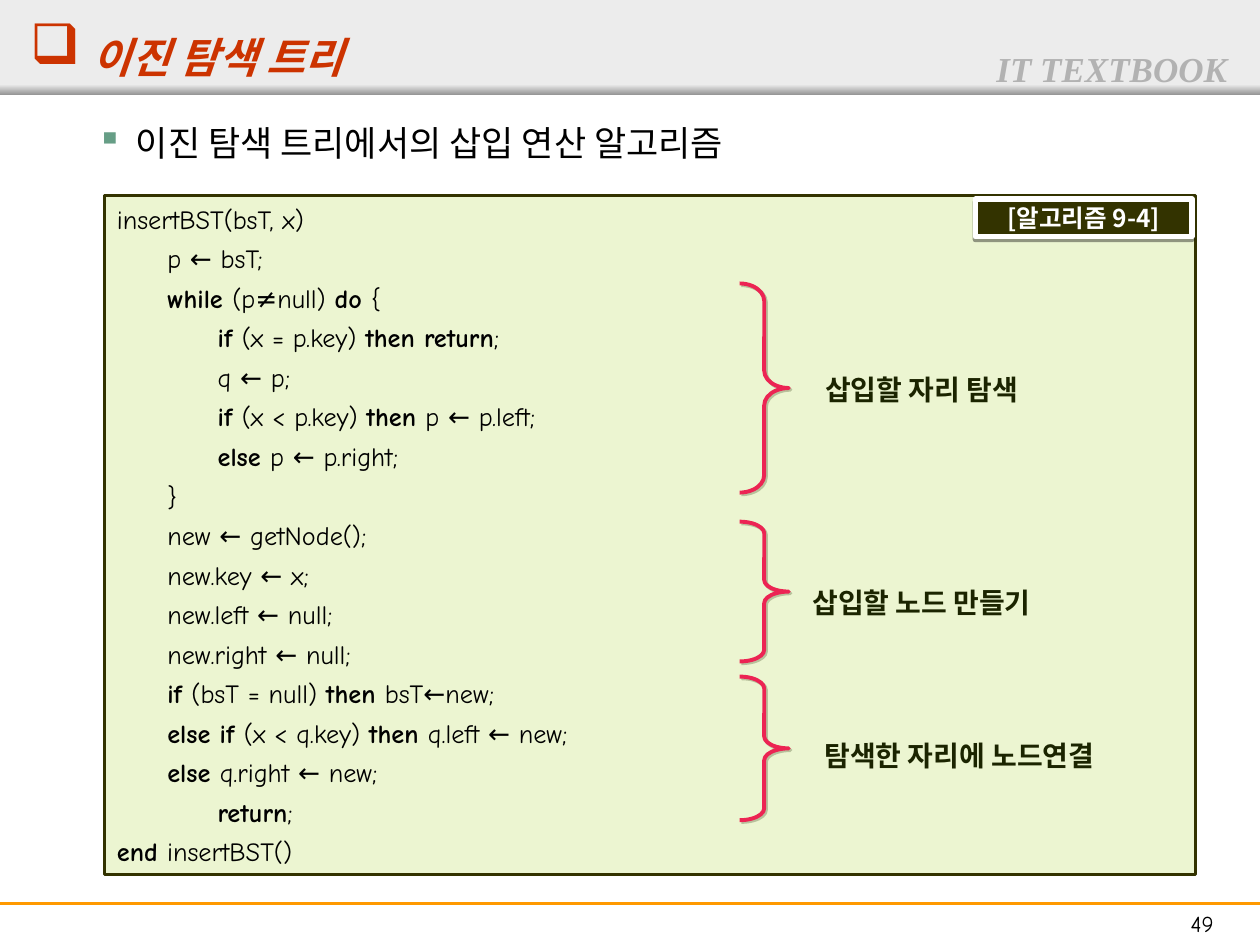
from lxml import etree
from pptx import Presentation
from pptx.dml.color import RGBColor
from pptx.enum.shapes import MSO_CONNECTOR, MSO_SHAPE
from pptx.enum.text import MSO_ANCHOR, PP_ALIGN
from pptx.oxml.ns import qn
from pptx.util import Inches, Pt

RECT, BRACE = MSO_SHAPE.RECTANGLE, MSO_SHAPE.RIGHT_BRACE
LEFT, CENTER = PP_ALIGN.LEFT, PP_ALIGN.CENTER
TOP, MIDDLE = MSO_ANCHOR.TOP, MSO_ANCHOR.MIDDLE

KOREAN, LATIN, SERIF = "Noto Sans CJK KR", "Comic Neue", "Times New Roman"
THEME = {
    "band": "ECECEC", "band_edge": "979797", "rule": "FF9900",
    "bullet": "669E86", "panel": "99CC00", "dark": "333300",
    "brace": "FF0066", "white": "FFFFFF", "brace_shadow": "808080",
    "tag_shadow": "000000",
    "title_mark": dict(name=KOREAN, size=32, color="CC3300", bold=True, italic=True),
    "title": dict(name=KOREAN, size=24, color="CC3300", bold=True, italic=True),
    "series": dict(name=SERIF, size=20, color="B2B2B2", bold=True, italic=True),
    "heading": dict(name=KOREAN, size=20, color="000000"),
    "label": dict(name=KOREAN, size=16, color="000000", bold=True),
    "tag": dict(name=KOREAN, size=14, color="FFFFFF", bold=True),
    "code": dict(name=LATIN, size=15, color="000000", bold=False),
    "keyword": dict(name=LATIN, size=15, color="000000", bold=True),
    "page": dict(name=LATIN, size=13, color="000000"),
}

TITLE = "이진 탐색 트리"
SERIES = "IT TEXTBOOK"
HEADING = "이진 탐색 트리에서의 삽입 연산 알고리즘"
TAG = "[알고리즘 9-4]"
PAGE = "49"
# Indent level and code; keywords stand between asterisks.
CODE = [
    (0, "insertBST(bsT, x)"),
    (1, "p ← bsT;"),
    (1, "*while *(p≠null) *do *{"),
    (2, "*if *(x = p.key) *then return*;"),
    (2, "q ← p;"),
    (2, "*if *(x < p.key) *then *p ← p.left;"),
    (2, "*else *p ← p.right;"),
    (1, "}"),
    (1, "new ← getNode();"),
    (1, "new.key ← x;"),
    (1, "new.left ← null;"),
    (1, "new.right ← null;"),
    (1, "*if *(bsT = null) *then *bsT←new;"),
    (1, "*else if *(x < q.key) *then *q.left ← new;"),
    (1, "*else *q.right ← new;"),
    (2, "*return*;"),
    (0, "*end *insertBST()"),
]
# Brace top and height, then label text and its box.
STEPS = [
    (2.25, 1.66, "삽입할 자리 탐색", (6.45, 2.91, 1.73, 0.37)),
    (4.14, 1.11, "삽입할 노드 만들기", (6.35, 4.6, 1.93, 0.37)),
    (5.37, 1.14, "탐색한 자리에 노드연결", (6.21, 5.81, 2.81, 0.37)),
]
BRACE_LEFT, BRACE_WIDTH = 5.87, 0.39
CODE_INDENT = 0.4


def rgb(name):
    return RGBColor.from_string(THEME.get(name, name))


def add_run(p, text, style):
    r = p.add_run()
    r.text = text
    for key, value in THEME[style].items():
        if key == "color":
            r.font.color.rgb = rgb(value)
        else:
            setattr(r.font, key, Pt(value) if key == "size" else value)
    latin = r.font._element.find(qn("a:latin"))
    ea = etree.Element(qn("a:ea"), typeface=THEME[style]["name"])
    latin.addnext(ea)


def setup_frame(tf, anchor=TOP, top=0.05, wrap=True):
    margins = dict(margin_left=0.1, margin_top=top, margin_right=0.1, margin_bottom=0.05)
    for key, value in margins.items():
        setattr(tf, key, Inches(value))
    tf.word_wrap, tf.vertical_anchor = wrap, anchor
    return tf


def add_text(s, box, runs, align=LEFT, **frame):
    """Add a one-paragraph text box from (text, style) runs; return the paragraph."""
    tb = s.shapes.add_textbox(*map(Inches, box))
    p = setup_frame(tb.text_frame, **frame).paragraphs[0]
    p.alignment = align
    for text, style in runs:
        add_run(p, text, style)
    return p


def add_bullet(p, char, color, left=0, indent=0):
    pPr = p._p.get_or_add_pPr()
    pPr.set("marL", str(Inches(left)))
    pPr.set("indent", str(Inches(indent)))
    bu_color = etree.SubElement(pPr, qn("a:buClr"))
    etree.SubElement(bu_color, qn("a:srgbClr"), val=str(rgb(color)))
    etree.SubElement(pPr, qn("a:buChar"), char=char)


def add_shape(s, kind, box, fill=None, line=None, width=0):
    sp = s.shapes.add_shape(kind, *map(Inches, box))
    sp.shadow.inherit = False
    if fill:
        sp.fill.solid()
        sp.fill.fore_color.rgb = rgb(fill)
    else:
        sp.fill.background()
    if line:
        sp.line.color.rgb = rgb(line)
        sp.line.width = Pt(width)
    else:
        sp.line.fill.background()
    return sp


def add_alpha(color, percent):
    etree.SubElement(color, qn("a:alpha"), val=str(percent * 1000))


def add_shadow(sp, color, alpha, distance, angle):
    effects = sp._element.spPr.find(qn("a:effectLst"))
    shadow = etree.SubElement(effects, qn("a:outerShdw"), dist=str(Pt(distance)),
                              dir=str(angle * 60000), algn="ctr", rotWithShape="0")
    add_alpha(etree.SubElement(shadow, qn("a:srgbClr"), val=str(rgb(color))), alpha)


def draw_frame(s):
    add_shape(s, RECT, (0, 0, 10, 0.75), "band")
    edge = add_shape(s, RECT, (0, 0.67, 10, 0.08))
    edge.fill.gradient()
    edge.fill.gradient_angle = 270
    for stop, color in zip(edge.fill.gradient_stops, ("band", "band_edge")):
        stop.color.rgb = rgb(color)
    rule = s.shapes.add_connector(MSO_CONNECTOR.STRAIGHT, 0, Inches(7.17), Inches(10), Inches(7.17))
    rule.line.color.rgb = rgb("rule")
    rule.line.width = Pt(1.5)
    etree.SubElement(rule._element.spPr, qn("a:effectLst"))
    add_text(s, (7.81, 0.33, 2.19, 0.44), [(SERIES, "series")])
    add_text(s, (9.08, 7.17, 0.92, 0.32), [(PAGE, "page")], CENTER)


def draw_headings(s):
    p = add_text(s, (0.17, 0.88, 9.45, 0.5), [(HEADING, "heading")])
    p.line_spacing = 1.1
    add_bullet(p, "▪", "bullet", 0.81, -0.31)
    p = add_text(s, (0.14, 0.14, 9, 0.46), [(" ", "title_mark"), (TITLE, "title")], top=0)
    add_bullet(p, "❑", THEME["title"]["color"])


def draw_steps(s):
    for top, height, label, box in STEPS:
        brace = add_shape(s, BRACE, (BRACE_LEFT, top, BRACE_WIDTH, height), None, "brace", 2.25)
        brace.adjustments[0] = height / BRACE_WIDTH / 12
        add_shadow(brace, "brace_shadow", 50, 1.4, 45)
        add_text(s, box, [(label, "label")], CENTER, wrap=False)


def draw_code(s):
    panel = add_shape(s, RECT, (0.83, 1.55, 8.66, 5.39), "panel", "dark", 1.5)
    add_alpha(panel._element.spPr.find(qn("a:solidFill"))[0], 18)
    tf = setup_frame(panel.text_frame)
    for i, (level, line) in enumerate(CODE):
        p = tf.add_paragraph() if i else tf.paragraphs[0]
        p.alignment, p.line_spacing = LEFT, 1.05
        p.space_before = Pt(3.7 if i else 0)
        p._p.get_or_add_pPr().set("marL", str(Inches(level * CODE_INDENT)))
        for j, part in enumerate(line.split("*")):
            if part:
                add_run(p, part, "keyword" if j % 2 else "code")

    tag = add_shape(s, RECT, (7.74, 1.58, 1.72, 0.3), "dark", "white", 3)
    add_shadow(tag, "tag_shadow", 38, 1.6, 90)
    p = setup_frame(tag.text_frame, MIDDLE).paragraphs[0]
    p.alignment = CENTER
    add_run(p, TAG, "tag")


prs = Presentation()
prs.slide_width, prs.slide_height = Inches(10), Inches(7.5)
slide = prs.slides.add_slide(prs.slide_layouts[6])
for draw in (draw_frame, draw_headings, draw_steps, draw_code):
    draw(slide)
prs.save("out.pptx")
